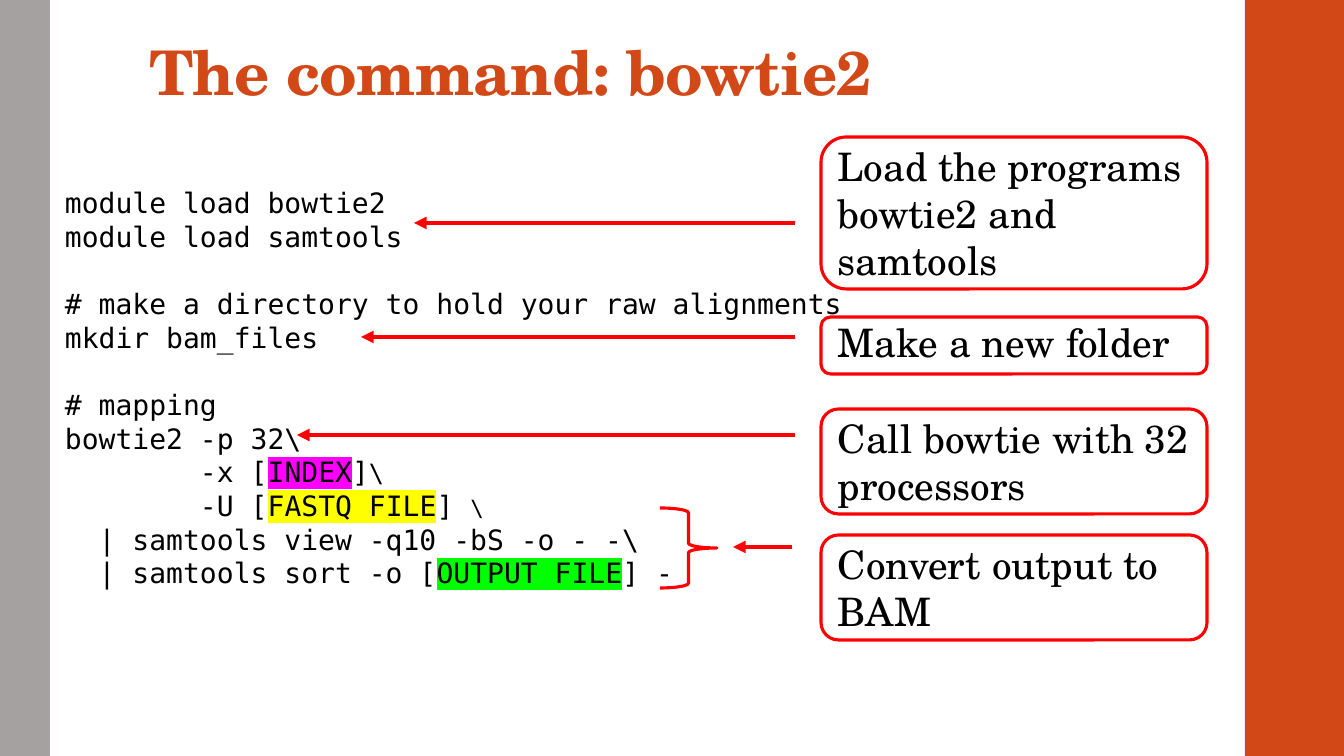
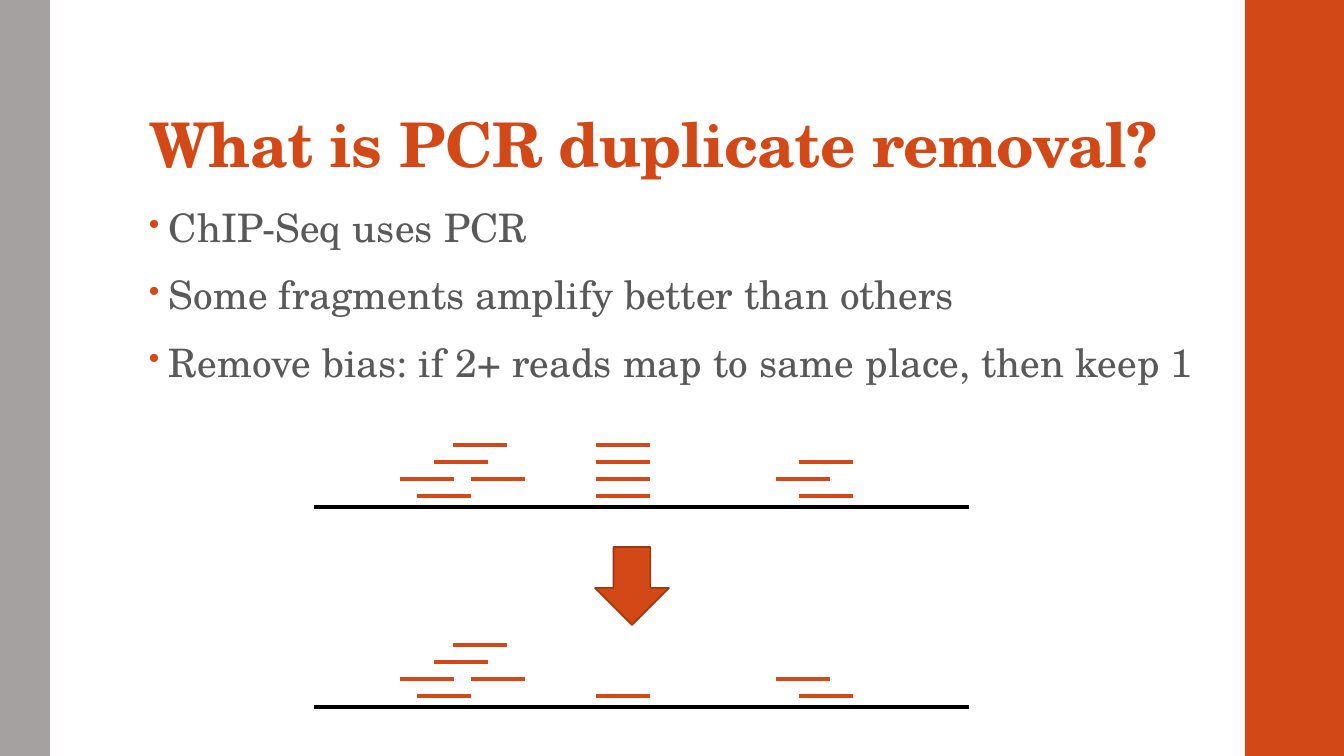
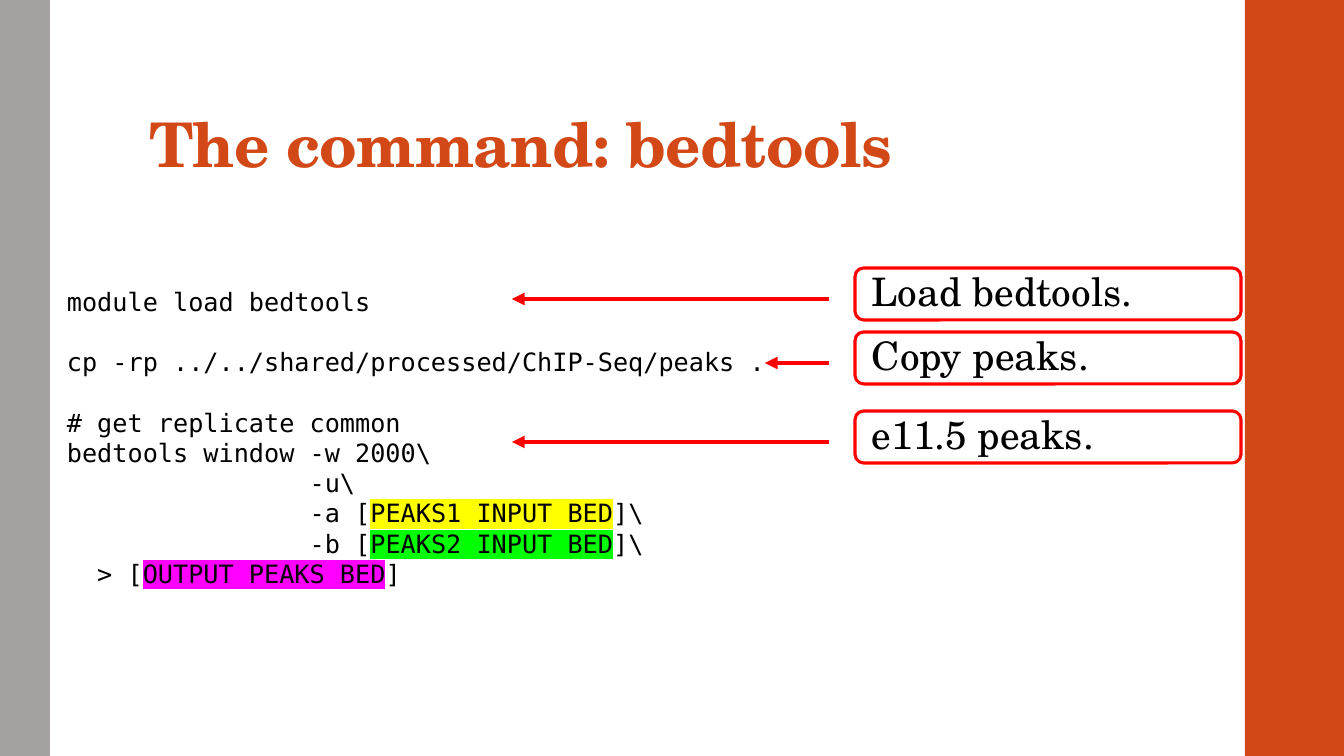
from dataclasses import dataclass
from typing import NamedTuple

from lxml.etree import SubElement
from pptx import Presentation
from pptx.dml.color import RGBColor
from pptx.enum.shapes import MSO_CONNECTOR, MSO_SHAPE
from pptx.enum.text import MSO_ANCHOR, MSO_AUTO_SIZE, PP_ALIGN
from pptx.oxml.ns import qn
from pptx.util import Emu, Pt

SLIDE_WIDTH, SLIDE_HEIGHT = 1344, 756
EMU_PER_PX = 12192000 / SLIDE_WIDTH

COLORS = {
    "accent": "D34817",
    "accent_dark": "9C3511",
    "band": "A6A1A1",
    "body": "595959",
    "code": "000000",
    "callout": "FF0000",
    "pink": "FF00FF",
    "yellow": "FFFF00",
    "green": "00FF00",
}
SERIF = "TeX Gyre Schola"
MONO = "DejaVu Sans Mono"
CODE_LINE_HEIGHT = 1.2

CALLOUT_WIDTH = 386
CALLOUT_GAP = 26
CORNER_INSET = 0.05  # share of the height that a rounded corner takes from the text area

AXIS_LEFT, AXIS_RIGHT = 314, 969
READ_LENGTH = 54
FIRST_ROW, ROW_STEP = 11, 17


class Box(NamedTuple):
    left: int
    top: int
    width: int
    height: int


@dataclass(frozen=True)
class TextStyle:
    size: int
    font: str
    color: str
    bold: bool = False
    spacing: int = 0  # hundredths of a point


class Run(NamedTuple):
    text: str
    highlight: str = ""
    size: int = 0


@dataclass(frozen=True)
class Callout:
    text: str
    top: int
    height: int
    arrow_y: int
    arrow_tip: int
    lift: int = 0
    gap: int = CALLOUT_GAP


@dataclass(frozen=True)
class Read:
    left: int
    row: int
    duplicate: bool = False


TITLE = TextStyle(44, SERIF, "accent", bold=True, spacing=-50)
BODY = TextStyle(28, SERIF, "body", spacing=10)
LABEL = TextStyle(28, SERIF, "code")

# Code is a list of blocks, a block is a list of lines, a line is a list of runs.
Line = list[Run]
Code = list[list[Line]]

BOWTIE_CODE: Code = [
    [[Run("module load bowtie2")], [Run("module load samtools")]],
    [
        [Run("# make a directory to hold your raw alignments")],
        [Run("mkdir bam_files")],
    ],
    [
        [Run("# mapping")],
        [Run("bowtie2 -p 32\\")],
        [Run("        -x ["), Run("INDEX", "pink"), Run("]"), Run("\\", size=18)],
        [Run("        -U ["), Run("FASTQ FILE", "yellow"), Run("] "), Run("\\", size=16)],
        [Run("  | samtools view -q10 -bS -o - -\\")],
        [Run("  | samtools sort -o ["), Run("OUTPUT FILE", "green"), Run("] -")],
    ],
]
BOWTIE_CALLOUTS = [
    Callout("Load the programs bowtie2 and samtools", 137, 152, 223, 414),
    Callout("Make a new folder", 317, 57, 337, 361, lift=4),
    Callout("Call bowtie with 32 processors", 409, 105, 435, 297),
    Callout("Convert output to BAM", 535, 105, 547, 733, gap=29),
]

BEDTOOLS_CODE: Code = [
    [[Run("module load bedtools")]],
    [[Run("cp -rp ../../shared/processed/ChIP-Seq/peaks .")]],
    [
        [Run("# get replicate common")],
        [Run("bedtools window -w 2000\\")],
        [Run("                -u\\")],
        [Run("                -a ["), Run("PEAKS1 INPUT BED", "yellow"), Run("]\\")],
        [Run("                -b ["), Run("PEAKS2 INPUT BED", "green"), Run("]\\")],
        [Run("  > ["), Run("OUTPUT PEAKS BED", "pink"), Run("]")],
    ],
]
BEDTOOLS_CALLOUTS = [
    Callout(text, top, 52, top + 31, tip, lift=3)
    for text, top, tip in [
        ("Load bedtools.", 268, 512),
        ("Copy peaks.", 332, 765),
        ("e11.5 peaks.", 411, 512),
    ]
]

DUPLICATE_POINTS = [
    "ChIP-Seq uses PCR",
    "Some fragments amplify better than others",
    "Remove bias: if 2+ reads map to same place, then keep 1",
]
READS = [
    Read(400, 1), Read(417, 0), Read(434, 2), Read(453, 3), Read(471, 1),
    *(Read(596, row, duplicate=row > 0) for row in range(4)),
    Read(776, 1), Read(799, 0), Read(799, 2, duplicate=True),
]


def px(length: float) -> Emu:
    return Emu(round(length * EMU_PER_PX))


def emus(box: Box) -> list[Emu]:
    return [px(length) for length in box]


def rgb(name: str) -> RGBColor:
    return RGBColor.from_string(COLORS[name])


def add_run(paragraph, text: str, style: TextStyle, highlight: str = "", size: int = 0) -> None:
    run = paragraph.add_run()
    run.text = text
    font = run.font
    font.size = Pt(size or style.size)
    font.name = style.font
    font.bold = style.bold
    font.color.rgb = rgb(style.color)
    properties = run._r.get_or_add_rPr()
    if style.spacing:
        properties.set("spc", str(style.spacing))
    if highlight:
        mark = SubElement(properties, qn("a:highlight"))
        SubElement(mark, qn("a:srgbClr"), val=COLORS[highlight])
        properties.find(qn("a:solidFill")).addnext(mark)


def add_preset(slide, preset: MSO_SHAPE, box: Box, fill: str = "", line: str = "", width: float = 1):
    shape = slide.shapes.add_shape(preset, *emus(box))
    shape.shadow.inherit = False
    if fill:
        shape.fill.solid()
        shape.fill.fore_color.rgb = rgb(fill)
    else:
        shape.fill.background()
    if line:
        shape.line.color.rgb = rgb(line)
        shape.line.width = Pt(width)
    else:
        shape.line.fill.background()
    return shape


def add_level_line(slide, start: int, end: int, y: int, color: str,
                   width: float = 2.25, arrow: bool = False) -> None:
    connector = slide.shapes.add_connector(
        MSO_CONNECTOR.STRAIGHT, px(start), px(y), px(end), px(y))
    connector.line.color.rgb = rgb(color)
    connector.line.width = Pt(width)
    properties = connector._element.spPr
    if arrow:
        SubElement(properties.find(qn("a:ln")), qn("a:tailEnd"), type="triangle")
    SubElement(properties, qn("a:effectLst"))


def add_text_frame(slide, box: Box):
    frame = slide.shapes.add_textbox(*emus(box)).text_frame
    frame.word_wrap = True
    return frame


def next_paragraph(frame, index: int):
    return frame.add_paragraph() if index else frame.paragraphs[0]


def add_titled_slide(presentation, title: str, title_height: int = 154):
    slide = presentation.slides.add_slide(presentation.slide_layouts[5])
    shape = slide.shapes.title
    shape.left, shape.top, shape.width, shape.height = emus(Box(139, 32, 1068, title_height))
    frame = shape.text_frame
    frame.auto_size = MSO_AUTO_SIZE.NONE
    frame.word_wrap = True
    frame.vertical_anchor = MSO_ANCHOR.BOTTOM
    frame.margin_top, frame.margin_bottom = px(3), px(5)
    paragraph = frame.paragraphs[0]
    paragraph.alignment = PP_ALIGN.LEFT
    paragraph.line_spacing = 0.9
    add_run(paragraph, title, TITLE)
    return slide


def move_bands_to_master(presentation, slide) -> None:
    """Draw the side bands on a slide, then hand them to the master all slides share."""
    master_tree = presentation.slide_master.shapes.element
    for left, width, color in [(0, 50, "band"), (1245, 99, "accent")]:
        band = add_preset(slide, MSO_SHAPE.RECTANGLE, Box(left, 0, width, SLIDE_HEIGHT), color)
        master_tree.insert(2, band._element)


def add_code(slide, box: Box, blocks: Code, size: int) -> None:
    style = TextStyle(size, MONO, "code")
    frame = add_text_frame(slide, box)
    lines = [(position, line) for block in blocks for position, line in enumerate(block)]
    for index, (position, line) in enumerate(lines):
        paragraph = next_paragraph(frame, index)
        if index and position == 0:
            paragraph.space_before = Pt(size * CODE_LINE_HEIGHT)
        for run in line:
            add_run(paragraph, run.text, style, run.highlight, run.size)


def add_callouts(slide, left: int, callouts: list[Callout]) -> None:
    for callout in callouts:
        shape = add_preset(
            slide, MSO_SHAPE.ROUNDED_RECTANGLE,
            Box(left, callout.top, CALLOUT_WIDTH, callout.height), line="callout", width=2.25)
        inset = callout.height * CORNER_INSET
        frame = shape.text_frame
        frame.word_wrap = True
        frame.vertical_anchor = MSO_ANCHOR.MIDDLE
        frame.margin_left, frame.margin_right = px(17 - inset), px(10 - inset)
        frame.margin_top, frame.margin_bottom = px(0), px(2 * callout.lift)
        paragraph = frame.paragraphs[0]
        paragraph.alignment = PP_ALIGN.LEFT
        add_run(paragraph, callout.text, LABEL)
        add_level_line(slide, left - callout.gap, callout.arrow_tip, callout.arrow_y,
                       "callout", 3, arrow=True)


def add_bullets(slide, box: Box, points: list[str]) -> None:
    frame = add_text_frame(slide, box)
    for index, point in enumerate(points):
        paragraph = next_paragraph(frame, index)
        paragraph.line_spacing = 0.95
        paragraph.space_after = Pt(2)
        if index:
            paragraph.space_before = Pt(14)
        properties = paragraph._p.get_or_add_pPr()
        properties.set("marL", str(px(20)))
        properties.set("indent", str(px(-20)))
        color = SubElement(properties, qn("a:buClr"))
        SubElement(color, qn("a:srgbClr"), val=COLORS["accent"])
        SubElement(properties, qn("a:buSzPct"), val="80000")
        SubElement(properties, qn("a:buChar"), char="•")
        add_run(paragraph, point, BODY)


def add_pileup(slide, axis_y: int, reads: list[Read]) -> None:
    """Draw mapped reads stacked in rows above a genome axis."""
    add_level_line(slide, AXIS_LEFT, AXIS_RIGHT, axis_y, "code")
    for read in reads:
        y = axis_y - FIRST_ROW - read.row * ROW_STEP
        add_level_line(slide, read.left, read.left + READ_LENGTH, y, "accent")


def main() -> None:
    presentation = Presentation()
    presentation.slide_width, presentation.slide_height = px(SLIDE_WIDTH), px(SLIDE_HEIGHT)

    bowtie = add_titled_slide(presentation, "The command: bowtie2", title_height=82)
    move_bands_to_master(presentation, bowtie)
    add_code(bowtie, Box(55, 181, 1279, 414), BOWTIE_CODE, 20)
    add_callouts(bowtie, 821, BOWTIE_CALLOUTS)
    add_preset(bowtie, MSO_SHAPE.RIGHT_BRACE, Box(660, 508, 57, 80), line="callout", width=2.25)

    duplicates = add_titled_slide(presentation, "What is PCR duplicate removal?")
    add_bullets(duplicates, Box(139, 202, 1092, 480), DUPLICATE_POINTS)
    add_pileup(duplicates, 507, READS)
    add_pileup(duplicates, 707, [read for read in READS if not read.duplicate])
    add_preset(duplicates, MSO_SHAPE.DOWN_ARROW, Box(595, 547, 74, 78),
               "accent", "accent_dark", 1.1)

    bedtools = add_titled_slide(presentation, "The command: bedtools")
    add_code(bedtools, Box(57, 281, 1231, 377), BEDTOOLS_CODE, 18)
    add_callouts(bedtools, 855, BEDTOOLS_CALLOUTS)

    presentation.save("out.pptx")


if __name__ == "__main__":
    main()
